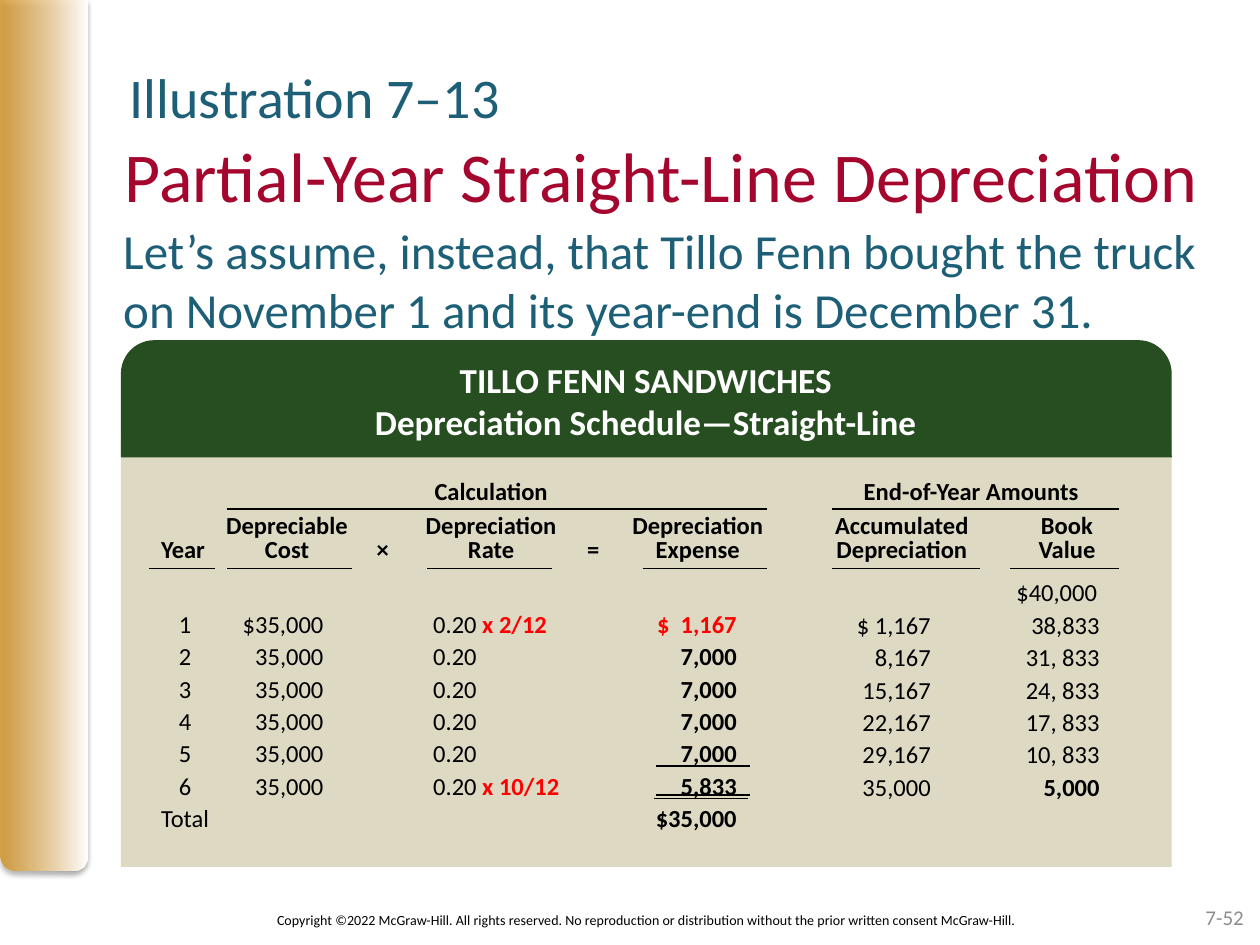
from lxml import etree
from pptx import Presentation
from pptx.dml.color import RGBColor
from pptx.enum.shapes import MSO_CONNECTOR, MSO_SHAPE
from pptx.enum.text import MSO_ANCHOR, PP_ALIGN
from pptx.oxml.ns import qn
from pptx.util import Inches, Pt

LEFT, CENTER, RIGHT = PP_ALIGN.LEFT, PP_ALIGN.CENTER, PP_ALIGN.RIGHT
TOP, MIDDLE = MSO_ANCHOR.TOP, MSO_ANCHOR.MIDDLE
RECTANGLE, ROUNDED_ENDS = MSO_SHAPE.RECTANGLE, MSO_SHAPE.ROUND_2_SAME_RECTANGLE
STRAIGHT = MSO_CONNECTOR.STRAIGHT

FONT = "Calibri"
COLORS = {
    "gold": "D49323", "white": "FFFFFF", "black": "000000", "teal": "1D5F76",
    "crimson": "A5062D", "green": "264E21", "sand": "DDD9C3", "red": "FF0000",
    "gray": "8C8C8C",
}

# Tab stops, in inches from the text edge
GROUP_TABS = [(2.62, "ctr"), (6.43, "ctr")]
HEAD_TABS = [(x, "ctr") for x in (0.26, 1, 1.76, 2.62, 3.43, 4.26, 5.88, 7.19)]
CALCULATION_TABS = [(0.19, "ctr"), (1.29, "r"), (2.16, "l"), (4.57, "r"), (7.43, "r")]
BALANCE_TABS = [(0.68, "r"), (2.02, "r")]

# Year, cost, rate, part of year, expense, accumulated depreciation, book value
SCHEDULE = [
    ("1", "$35,000", "0.20", "x 2/12", "$  1,167", "$ 1,167", "38,833"),
    ("2", "35,000", "0.20", "", "7,000", "8,167", "31, 833"),
    ("3", "35,000", "0.20", "", "7,000", "15,167", "24, 833"),
    ("4", "35,000", "0.20", "", "7,000", "22,167", "17, 833"),
    ("5", "35,000", "0.20", "", "7,000", "29,167", "10, 833"),
    ("6", "35,000", "0.20", "x 10/12", "5,833", "35,000", "5,000"),
]


def rgb(name):
    return RGBColor.from_string(COLORS[name])


def style(font, size, color="black", bold=False):
    font.name, font.size, font.bold = FONT, Pt(size), bold
    font.color.rgb = rgb(color)


def add_frame(slide, left, top, width, height, anchor=TOP):
    box = slide.shapes.add_textbox(Inches(left), Inches(top), Inches(width), Inches(height))
    frame = box.text_frame
    frame.word_wrap = True
    frame.vertical_anchor = anchor
    return frame


def add_text(slide, box, text, size, color="black", bold=False, align=LEFT, anchor=TOP):
    frame = add_frame(slide, *box, anchor)
    frame.text = text
    for paragraph in frame.paragraphs:
        paragraph.alignment = align
        for run in paragraph.runs:
            style(run.font, size, color, bold)
    return frame


def add_block(slide, box, shape_type, color):
    block = slide.shapes.add_shape(shape_type, *(Inches(v) for v in box))
    block.shadow.inherit = False
    block.fill.solid()
    block.fill.fore_color.rgb = rgb(color)
    block.line.fill.background()
    return block


def add_rule(slide, start, end, y):
    rule = slide.shapes.add_connector(STRAIGHT, Inches(start), Inches(y), Inches(end), Inches(y))
    rule.line.color.rgb = rgb("black")
    rule.line.width = Pt(0.75)
    etree.SubElement(rule._element.spPr, qn("a:effectLst"))


def add_tabbed_line(frame, tabs, runs, spacing=None, after=0):
    """Add a paragraph of (text, color, bold) runs laid out on tab stops."""
    first = frame.paragraphs[0]
    paragraph = frame.add_paragraph() if first.runs else first
    tab_list = etree.SubElement(paragraph._p.get_or_add_pPr(), qn("a:tabLst"))
    for position, align in tabs:
        etree.SubElement(tab_list, qn("a:tab"), pos=str(Inches(position)), algn=align)
    if spacing:
        paragraph.line_spacing = spacing
    paragraph.space_after = Pt(after)
    for text, color, bold in runs:
        run = paragraph.add_run()
        run.text = text
        style(run.font, 14, color, bold)


def add_side_band(slide, box):
    band = add_block(slide, box, ROUNDED_ENDS, "gold")
    band.adjustments[0], band.adjustments[1] = 0, 0.17
    band.fill.gradient()
    band.fill.gradient_angle = 0
    for stop, color in zip(band.fill.gradient_stops, ("gold", "white")):
        stop.color.rgb = rgb(color)
    properties = band._element.spPr
    gold = properties.find(".//" + qn("a:srgbClr"))
    etree.SubElement(gold, qn("a:alpha"), val="80000")
    shadow = etree.SubElement(
        properties.find(qn("a:effectLst")), qn("a:outerShdw"),
        blurRad=str(Pt(3.1)), dist=str(Pt(1.8)), dir="5400000", rotWithShape="0")
    shade = etree.SubElement(shadow, qn("a:srgbClr"), val=COLORS["black"])
    etree.SubElement(shade, qn("a:alpha"), val="35000")


def add_heading(slide, left, top):
    label = add_text(slide, (left + 0.15, top, 5.76, 0.46), "Illustration 7–13", 32, "teal")
    label.margin_left = label.margin_right = label.margin_top = label.margin_bottom = 0
    add_text(slide, (left + 0.01, top + 0.5, 9, 0.8),
             "Partial-Year Straight-Line Depreciation", 40, "crimson")
    add_text(slide, (left, top + 1.2, 8.8, 1.05),
             "Let’s assume, instead, that Tillo Fenn bought the truck "
             "on November 1 and its year-end is December 31.", 28, "teal")


def add_calculation(slide, left, top):
    frame = add_frame(slide, left, top, 8.04, 3.2)
    add_tabbed_line(frame, GROUP_TABS, [("\tCalculation\tEnd-of-Year Amounts", "black", True)],
                    after=6)
    add_tabbed_line(frame, HEAD_TABS, [
        ("\t\tDepreciable\t\tDepreciation\t\tDepreciation\tAccumulated\tBook", "black", True),
    ], 0.8)
    add_tabbed_line(frame, HEAD_TABS, [
        ("Year\tCost\t×\tRate\t=\tExpense\tDepreciation\tValue", "black", True),
    ], 0.8, after=6)
    add_tabbed_line(frame, CALCULATION_TABS, [("\t\t\t\t\t$40,000", "black", False)], 1.1)
    for year, cost, rate, fraction, expense, _, _ in SCHEDULE:
        runs = [(f"\t{year}\t{cost}\t{rate}", "black", False)]
        if fraction:
            runs.append((f" {fraction}", "red", True))
        runs.append((f"\t{expense}", "red" if year == "1" else "black", True))
        add_tabbed_line(frame, CALCULATION_TABS, runs, 1.1)
    add_tabbed_line(frame, CALCULATION_TABS,
                    [("Total", "black", False), ("\t\t\t$35,000", "black", True)], 1.1)


def add_balances(slide, left, top):
    frame = add_frame(slide, left, top, 2.44, 1.64)
    for *_, accumulated, book_value in SCHEDULE:
        add_tabbed_line(frame, BALANCE_TABS, [
            (f"\t{accumulated}", "black", False),
            (f"\t{book_value}", "black", book_value == "5,000"),
        ], 1.1)


def add_schedule(slide, left, top, width, height):
    header_height = 0.93
    add_block(slide, (left, top + 0.78, width, height - 0.78), RECTANGLE, "sand")
    header = add_block(slide, (left, top, width, header_height), ROUNDED_ENDS, "green")
    header.adjustments[0] = 0.285
    add_text(slide, (left + 0.22, top + 0.1, 7.89, 0.77),
             "TILLO FENN SANDWICHES\nDepreciation Schedule—Straight-Line",
             20, "white", True, CENTER)
    add_calculation(slide, left + 0.22, top + 1.03)
    add_balances(slide, left + 5.65, top + 2.07)

    group_rules = [(0.84, 5.13, 1.34), (5.64, 7.92, 1.34)]
    head_rules = [(start, end, 1.81) for start, end in (
        (0.22, 0.75), (0.84, 1.83), (2.43, 3.42), (4.14, 5.13), (5.64, 6.82), (7.06, 7.92))]
    total_rules = [(4.25, 4.99, 3.38), (4.25, 4.99, 3.61), (4.23, 4.98, 3.64)]
    for start, end, y in group_rules + head_rules + total_rules:
        add_rule(slide, left + start, left + end, top + y)


def add_footer(slide, left, top):
    add_text(slide, (left, top + 0.02, 7.15, 0.4),
             "Copyright ©2022 McGraw-Hill. All rights reserved. No reproduction or "
             "distribution without the prior written consent McGraw-Hill.",
             8, align=CENTER, anchor=MIDDLE)
    add_text(slide, (left + 6.08, top, 2.33, 0.4), "7-52", 12, "gray", align=RIGHT, anchor=MIDDLE)


def main():
    deck = Presentation()
    deck.slide_width, deck.slide_height = Inches(10), Inches(7.5)
    slide = deck.slides.add_slide(deck.slide_layouts[6])
    add_side_band(slide, (0, 0, 0.69, 6.91))
    add_heading(slide, 0.88, 0.5)
    add_schedule(slide, 0.96, 2.7, 8.34, 4.18)
    add_footer(slide, 1.56, 7.08)
    deck.save("out.pptx")


if __name__ == "__main__":
    main()
